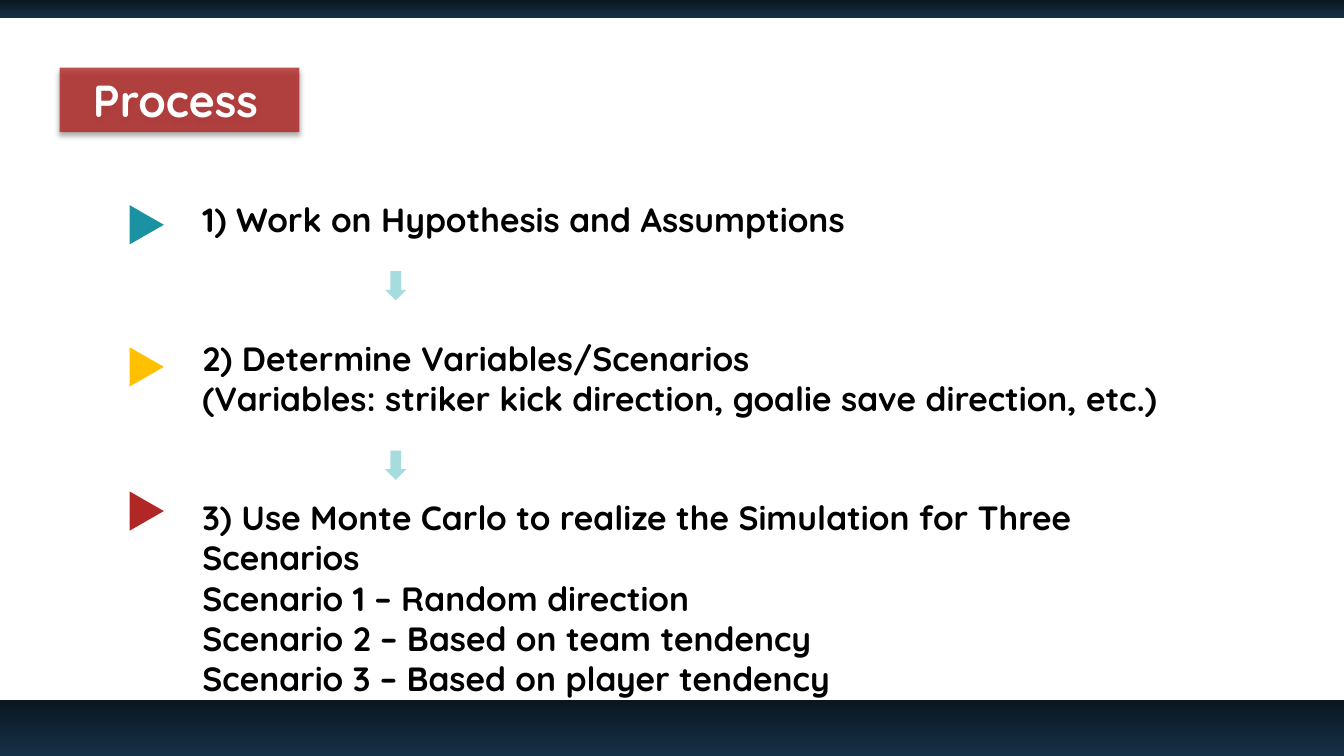
from lxml import etree
from pptx import Presentation
from pptx import util as u
from pptx.dml.color import RGBColor
from pptx.enum import shapes, text
from pptx.oxml.ns import qn

COLORS = {
    "navy": "163048", "night": "0A1721", "red": "B12725", "teal": "1A92A2",
    "amber": "FFC000", "aqua": "A7DCDE", "black": "000000", "white": "FFFFFF",
}
SLIDE_W, SLIDE_H = 13.33, 7.5
STEP_LEFT = 1.91

STEPS = [
    (1.92, 10.56, 0.5, ["1) Work on Hypothesis and Assumptions"]),
    (3.3, 9.96, 0.91, [
        "2) Determine Variables/Scenarios",
        "(Variables: striker kick direction, goalie save direction, etc.)"]),
    (4.88, 10.44, 2.12, [
        "3) Use Monte Carlo to realize the Simulation for Three Scenarios",
        "Scenario 1 – Random direction",
        "Scenario 2 – Based on team tendency",
        "Scenario 3 – Based on player tendency"]),
]
MARKERS = [(2.06, "teal"), (3.47, "amber"), (4.9, "red")]
ARROW_TOPS = [2.69, 4.47]


def rgb(name):
    return RGBColor.from_string(COLORS[name])


class ProcessSlide:
    font = "Quicksand"

    def __init__(self, prs):
        self.s = prs.slides.add_slide(prs.slide_layouts[5])

    def set_text(self, tf, lines, size, color):
        tf.word_wrap = True
        tf.auto_size = text.MSO_AUTO_SIZE.NONE
        tf.text = "\n".join(lines)
        for p in tf.paragraphs:
            p.alignment = text.PP_ALIGN.LEFT
            for r in p.runs:
                r.font.name = self.font
                r.font.size = u.Pt(size)
                r.font.bold = True
                r.font.color.rgb = rgb(color)

    def shape(self, kind, left, top, width, height, color, rotation=0):
        sp = self.s.shapes.add_shape(
            kind, *map(u.Inches, (left, top, width, height)))
        sp.shadow.inherit = False
        sp.line.fill.background()
        sp.fill.solid()
        sp.fill.fore_color.rgb = rgb(color)
        sp.rotation = rotation
        return sp

    def bar(self, top, height):
        sp = self.shape(shapes.MSO_SHAPE.RECTANGLE, 0, top, SLIDE_W, height, "navy")
        sp.fill.gradient()
        sp.fill.gradient_angle = 90
        for stop, color, pos in zip(sp.fill.gradient_stops, ("navy", "night"), (0, 1)):
            stop.color.rgb = rgb(color)
            stop.position = pos

    def title(self, words, left, top, width, height):
        """Title on a translucent red plate with a soft shadow below."""
        sp = self.s.shapes.title
        sp.left, sp.top, sp.width, sp.height = map(
            u.Inches, (left, top, width, height))
        sp.fill.solid()
        sp.fill.fore_color.rgb = rgb("red")
        spPr = sp.element.spPr
        plate = spPr.find(qn("a:solidFill")).find(qn("a:srgbClr"))
        etree.SubElement(plate, qn("a:alpha"), val="81000")
        effects = etree.SubElement(spPr, qn("a:effectLst"))
        shadow = etree.SubElement(
            effects, qn("a:outerShdw"), blurRad=str(u.Pt(4)),
            dist=str(u.Pt(3)), dir="5400000", rotWithShape="0")
        tint = etree.SubElement(shadow, qn("a:srgbClr"), val=COLORS["black"])
        etree.SubElement(tint, qn("a:alpha"), val="40000")
        tf = sp.text_frame
        self.set_text(tf, [words], 32, "white")
        tf.margin_left = u.Inches(0.33)
        tf.margin_right = 0
        tf.vertical_anchor = text.MSO_ANCHOR.MIDDLE

    def step(self, top, width, height, lines):
        sp = self.s.shapes.add_textbox(
            *map(u.Inches, (STEP_LEFT, top, width, height)))
        self.set_text(sp.text_frame, lines, 24, "black")


def main():
    prs = Presentation()
    prs.slide_width, prs.slide_height = u.Inches(SLIDE_W), u.Inches(SLIDE_H)
    page = ProcessSlide(prs)
    page.bar(6.94, 0.57)
    page.bar(0, 0.18)
    page.title("Process", 0.59, 0.67, 2.38, 0.64)
    for step in STEPS:
        page.step(*step)
    for top in ARROW_TOPS:
        page.shape(shapes.MSO_SHAPE.DOWN_ARROW, 3.82, top, 0.21, 0.29, "aqua")
    for top, color in MARKERS:
        page.shape(shapes.MSO_SHAPE.ISOSCELES_TRIANGLE, 1.26, top, 0.39, 0.34,
                   color, rotation=90)
    prs.save("out.pptx")


if __name__ == "__main__":
    main()
